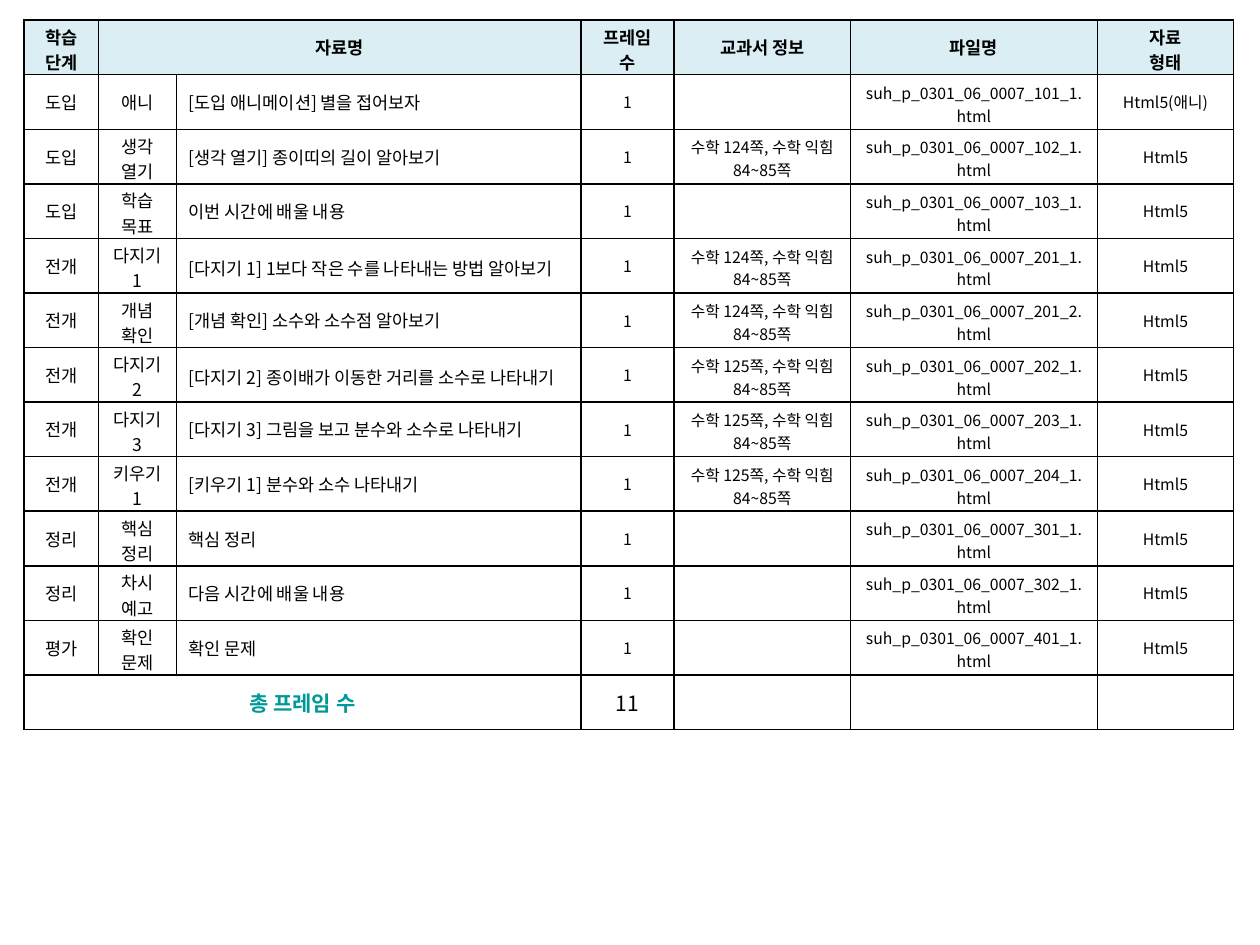
from lxml import etree
from pptx import Presentation
from pptx.dml.color import RGBColor
from pptx.enum import text
from pptx.oxml import ns
from pptx.util import Inches, Pt

FACE = "Noto Sans CJK KR"
COLS = [0.59, 0.62, 3.21, 0.74, 1.4, 1.96, 1.08]
HEAD = ["학습 단계", "자료명", None, "프레임 수", "교과서 정보", "파일명", "자료\n형태"]
BOOK = "수학 {}쪽, 수학 익힘 84~85쪽"

# Stage, part, title, textbook page, file number
ROWS = [
    ("도입", "애니", "[도입 애니메이션] 별을 접어보자", None, "101_1"),
    ("도입", "생각 열기", "[생각 열기] 종이띠의 길이 알아보기", 124, "102_1"),
    ("도입", "학습 목표", "이번 시간에 배울 내용", None, "103_1"),
    ("전개", "다지기 1", "[다지기 1] 1보다 작은 수를 나타내는 방법 알아보기", 124, "201_1"),
    ("전개", "개념 확인", "[개념 확인] 소수와 소수점 알아보기", 124, "201_2"),
    ("전개", "다지기 2", "[다지기 2] 종이배가 이동한 거리를 소수로 나타내기", 125, "202_1"),
    ("전개", "다지기 3", "[다지기 3] 그림을 보고 분수와 소수로 나타내기", 125, "203_1"),
    ("전개", "키우기1", "[키우기 1] 분수와 소수 나타내기", 125, "204_1"),
    ("정리", "핵심 정리", "핵심 정리", None, "301_1"),
    ("정리", "차시 예고", "다음 시간에 배울 내용", None, "302_1"),
    ("평가", "확인 문제", "확인 문제", None, "401_1"),
]
TOTAL = ["총 프레임 수", None, None, str(len(ROWS)), "", "", ""]


def tint(code):
    return RGBColor.from_string(code)


def frame(cell):
    """Draw a thin black line on all four sides."""
    props = cell._tc.get_or_add_tcPr()
    for side in ("lnL", "lnR", "lnT", "lnB"):
        line = etree.SubElement(props, ns.qn("a:" + side), w=str(Pt(1)))
        fill = etree.SubElement(line, ns.qn("a:solidFill"))
        etree.SubElement(fill, ns.qn("a:srgbClr"), val="000000")


def write(cell, words, size, bold=False, color="000000", left=False, pad=(0.03, 0)):
    cell.vertical_anchor = text.MSO_ANCHOR.MIDDLE
    cell.margin_top, cell.margin_bottom = map(Inches, pad)
    body = cell.text_frame
    for n, part in enumerate(words.split("\n")):
        para = body.add_paragraph() if n else body.paragraphs[0]
        para.alignment = text.PP_ALIGN.LEFT if left else text.PP_ALIGN.CENTER
        run = para.add_run()
        run.text = part
        run.font.color.rgb = tint(color)
        for key, value in {"size": Pt(size), "bold": bold, "name": FACE}.items():
            setattr(run.font, key, value)
        props = run._r.get_or_add_rPr()
        props.set("kern", "0")
        etree.SubElement(props, ns.qn("a:ea"), typeface=FACE)


def fill_row(grid, row, words, style, back=None):
    """Write one row; None marks a cell that a merge covers."""
    for col, word in enumerate(words):
        cell = grid.cell(row, col)
        frame(cell)
        if back:
            cell.fill.solid()
            cell.fill.fore_color.rgb = tint(back)
        else:
            cell.fill.background()
        if word is not None:
            write(cell, word, **style(col))


def head_style(col):
    tall = col in (0, 3, 6)
    return {"size": 10, "bold": True, "pad": (0.03, 0) if tall else (0.01, 0.01)}


def part_style(part, title):
    """Cells with two lines sit a little lower than those with one."""
    def style(col):
        tall = (col == 1 and part != "애니") or (col == 2 and len(title) > 27)
        if tall:
            pad = (0.03, 0)
        else:
            pad = (0.05, 0.02) if col in (4, 5) else (0.01, 0.01)
        return {"size": 10 if col < 3 else 9, "left": col == 2, "pad": pad}
    return style


def total_style(col):
    return {"size": 12, "bold": col == 0, "pad": (0.05, 0.05),
            "color": "000000" if col else "009999"}


def lesson_table(slide, left, top, width, height):
    count = len(ROWS) + 2
    last = count - 1
    shape = slide.shapes.add_table(count, len(COLS), left, top, width, height)
    grid = shape.table
    grid.first_row = grid.horz_banding = False
    for col, wide in zip(grid.columns, COLS):
        col.width = Inches(wide)

    # Header
    fill_row(grid, 0, HEAD, head_style, "DBEEF4")
    grid.cell(0, 1).merge(grid.cell(0, 2))

    # Lesson parts
    for row, (stage, part, title, page, num) in enumerate(ROWS, 1):
        words = [stage, part, title, "1", BOOK.format(page) if page else "",
                 f"suh_p_0301_06_0007_{num}.html",
                 "Html5(애니)" if part == "애니" else "Html5"]
        fill_row(grid, row, words, part_style(part, title),
                 "FFFFFF" if stage == "평가" else None)

    # Total
    fill_row(grid, last, TOTAL, total_style, "FFFFFF")
    grid.cell(last, 0).merge(grid.cell(last, 2))


def main():
    deck = Presentation()
    deck.slide_width, deck.slide_height = Inches(10), Inches(7.5)
    slide = deck.slides.add_slide(deck.slide_layouts[6])
    lesson_table(slide, Inches(0.19), Inches(0.16), Inches(9.6), Inches(5.63))
    deck.save("out.pptx")


if __name__ == "__main__":
    main()
